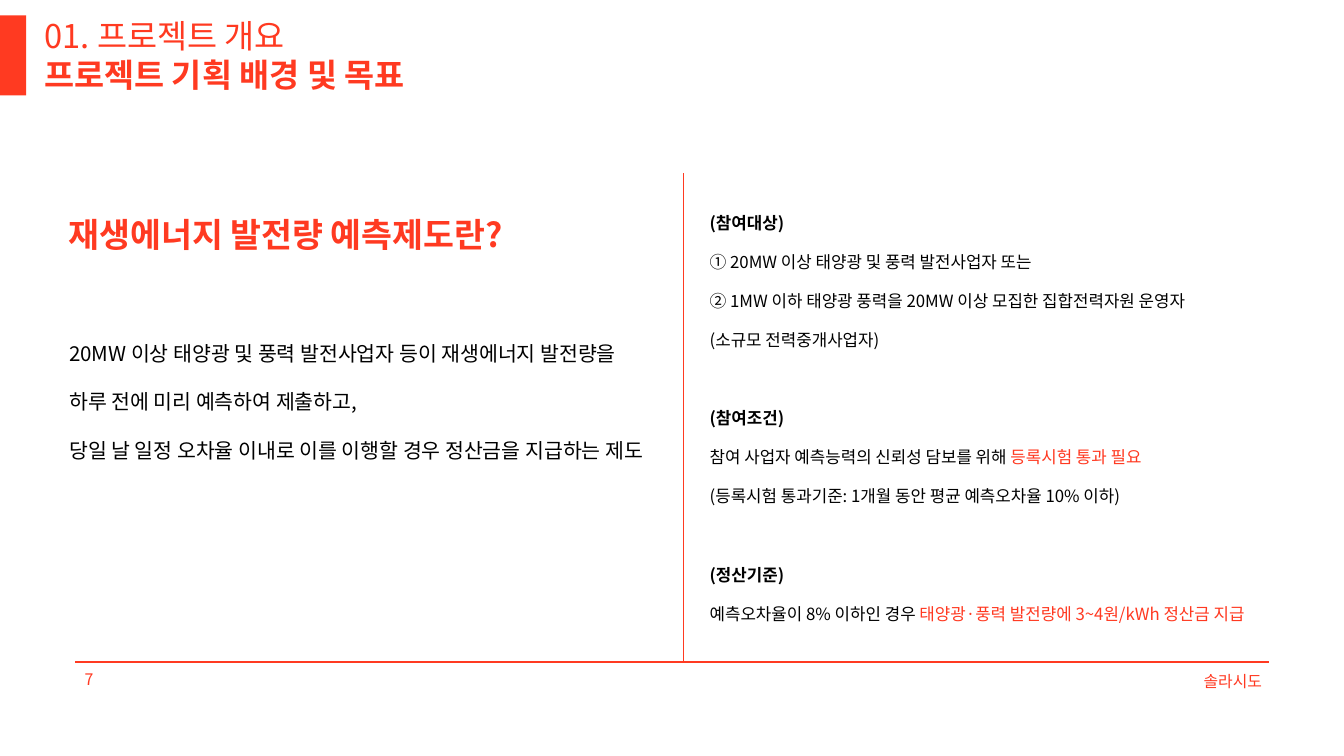
from lxml import etree
from pptx import Presentation
from pptx.dml.color import RGBColor
from pptx.enum.shapes import MSO_CONNECTOR, MSO_SHAPE
from pptx.enum.text import MSO_ANCHOR, PP_ALIGN
from pptx.oxml.ns import qn
from pptx.util import Inches, Pt

RECT = MSO_SHAPE.RECTANGLE
STRAIGHT = MSO_CONNECTOR.STRAIGHT
TOP, MIDDLE = MSO_ANCHOR.TOP, MSO_ANCHOR.MIDDLE
LEFT, RIGHT = PP_ALIGN.LEFT, PP_ALIGN.RIGHT

RED = RGBColor(0xFF, 0x3A, 0x21)
TEXT_RED = RGBColor(0xFF, 0x39, 0x21)
BLACK = RGBColor(0, 0, 0)
FONT = "Noto Sans CJK KR"

NO_INSETS = (0, 0, 0, 0)
INSETS = (0.1, 0.05, 0.1, 0.05)
INDENTED = (0.39, 0.05, 0.1, 0.05)

DESCRIPTION = [
    "20MW 이상 태양광 및 풍력 발전사업자 등이 재생에너지 발전량을",
    "하루 전에 미리 예측하여 제출하고,",
    "당일 날 일정 오차율 이내로 이를 이행할 경우 정산금을 지급하는 제도",
]

# Heading, then lines made of (text, colour) parts
SECTIONS = [
    ("(참여대상)", [
        [("① 20MW 이상 태양광 및 풍력 발전사업자 또는", BLACK)],
        [("② 1MW 이하 태양광 풍력을 20MW 이상 모집한 집합전력자원 운영자", BLACK)],
        [("(소규모 전력중개사업자)", BLACK)],
    ]),
    ("(참여조건)", [
        [("참여 사업자 예측능력의 신뢰성 담보를 위해 ", BLACK),
         ("등록시험 통과 필요", TEXT_RED)],
        [("(등록시험 통과기준: 1개월 동안 평균 예측오차율 10% 이하)", BLACK)],
    ]),
    ("(정산기준)", [
        [("예측오차율이 8% 이하인 경우 ", BLACK),
         ("태양광·풍력 발전량에 3~4원/kWh 정산금 지급", TEXT_RED)],
    ]),
]


class SlideBuilder:
    def __init__(self, slide):
        self.s = slide

    def bar(self, x, y, w, h):
        sp = self.s.shapes.add_shape(RECT, Inches(x), Inches(y), Inches(w), Inches(h))
        sp.shadow.inherit = False
        sp.fill.solid()
        sp.fill.fore_color.rgb = RED
        sp.line.fill.background()

    def line(self, x1, y1, x2, y2):
        cn = self.s.shapes.add_connector(
            STRAIGHT, Inches(x1), Inches(y1), Inches(x2), Inches(y2))
        cn.line.color.rgb = RED
        cn.line.width = Pt(1.5)
        etree.SubElement(cn._element.spPr, qn("a:effectLst"))

    def box(self, x, y, w, h, insets=INSETS, anchor=TOP, wrap=True):
        tf = self.s.shapes.add_textbox(
            Inches(x), Inches(y), Inches(w), Inches(h)).text_frame
        tf.word_wrap = wrap
        tf.vertical_anchor = anchor
        (tf.margin_left, tf.margin_top,
         tf.margin_right, tf.margin_bottom) = map(Inches, insets)
        return tf

    def paragraph(self, tf, runs, size, spacing=None, bold=False, align=LEFT, before=0):
        """Add a paragraph of (text, colour) runs, using the empty first one if free."""
        first = tf.paragraphs[0]
        p = tf.add_paragraph() if first.runs else first
        p.alignment = align
        if spacing:
            p.line_spacing = Pt(spacing)
        if before:
            p.space_before = Pt(before)
        for text, color in runs:
            r = p.add_run()
            r.text = text
            r.font.size = Pt(size)
            r.font.bold = bold
            r.font.color.rgb = color
            r.font.name = FONT
            etree.SubElement(r.font._element, qn("a:ea")).set("typeface", FONT)


def main():
    prs = Presentation()
    prs.slide_width, prs.slide_height = Inches(20), Inches(11.25)
    b = SlideBuilder(prs.slides.add_slide(prs.slide_layouts[6]))

    b.bar(0, 0.23, 0.39, 1.19)
    b.line(1.12, 9.85, 18.88, 9.85)

    tf = b.box(0.66, 0.23, 10.34, 0.61, NO_INSETS)
    b.paragraph(tf, [("01. 프로젝트 개요", RED)], 35, 42)
    tf = b.box(0.66, 0.81, 12.39, 0.61, NO_INSETS)
    b.paragraph(tf, [("프로젝트 기획 배경 및 목표", RED)], 35, 42, bold=True)

    tf = b.box(1.03, 4.71, 8.94, 2.64, NO_INSETS)
    for text in DESCRIPTION:
        b.paragraph(tf, [(text, BLACK)], 22, 52.3)

    tf = b.box(15.71, 9.94, 3.17, 0.4, anchor=MIDDLE)
    b.paragraph(tf, [("솔라시도", TEXT_RED)], 17, align=RIGHT)
    tf = b.box(1.16, 9.9, 2.33, 0.4, anchor=MIDDLE)
    b.paragraph(tf, [("7", TEXT_RED)], 17)

    b.line(10.17, 2.58, 10.17, 9.85)
    tf = b.box(10.17, 2.84, 9.03, 7.01, INDENTED)
    for i, (heading, lines) in enumerate(SECTIONS):
        b.paragraph(tf, [(heading, BLACK)], 18, 41.8, bold=True,
                    before=41.8 if i else 0)
        for runs in lines:
            b.paragraph(tf, runs, 18, 41.8)

    tf = b.box(0.92, 3, 6.7, 0.79, wrap=False)
    b.paragraph(tf, [("재생에너지 발전량 예측제도란?", RED)], 36, 52.3, bold=True)

    prs.save("out.pptx")


if __name__ == "__main__":
    main()
